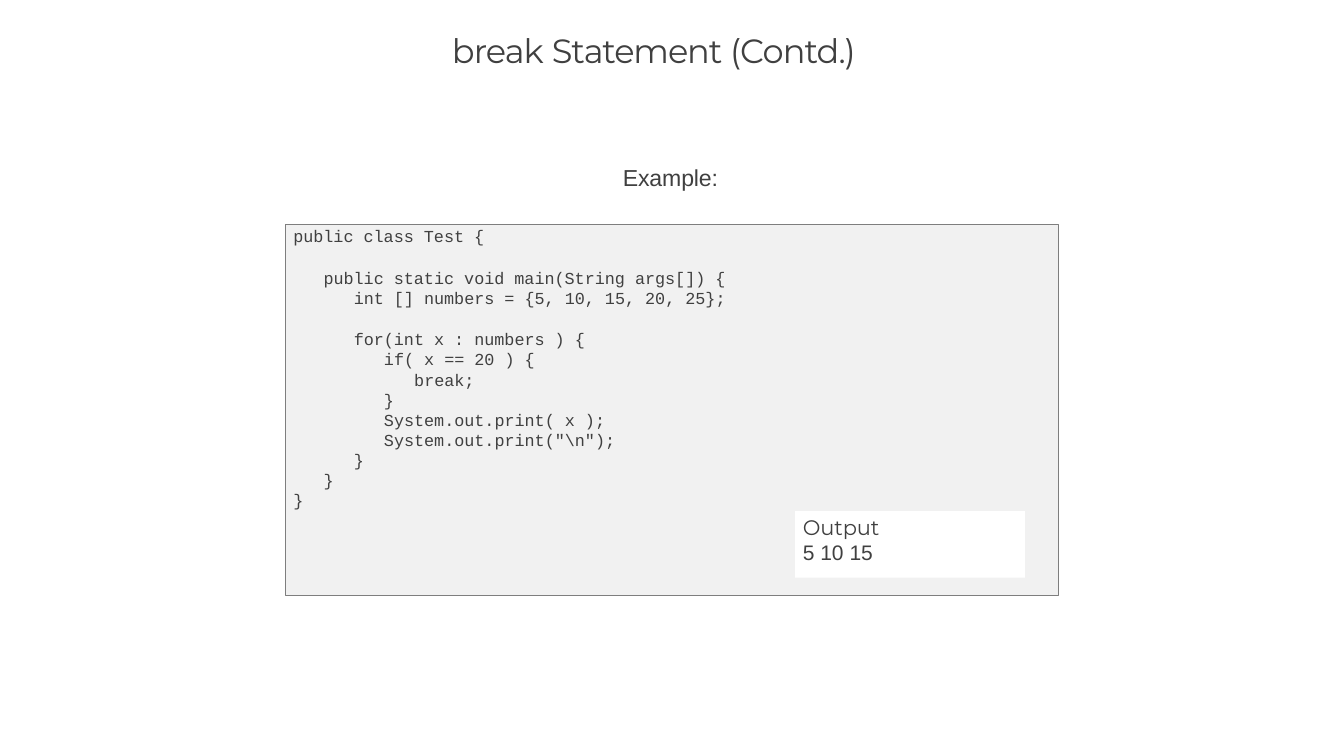
from pptx import Presentation
from pptx.dml.color import RGBColor
from pptx.enum.shapes import MSO_SHAPE
from pptx.enum.text import MSO_ANCHOR, PP_ALIGN
from pptx.util import Inches, Pt

RECT = MSO_SHAPE.RECTANGLE
TOP, LEFT = MSO_ANCHOR.TOP, PP_ALIGN.LEFT
INK, PANEL, EDGE, WHITE = "404040", "F1F1F1", "7E7E7E", "FFFFFF"
CODE_PITCH = 19.2  # points from one code line to the next
PAD, INDENT = 0.1, 0.4  # inches

TITLE = [("break ", -0.9), ("Statement ", -1.1), ("(Contd.)", -0.9)]
EXAMPLE = [("Example:", -0.1)]
OUTPUT = [("Montserrat", [("Output", -0.1)]),
          ("Arial", [("5 10 ", 0), ("15", -0.2)])]
# indent level, blank lines before, code
CODE = [
    (0, 0, "public class Test {"),
    (1, 1, "public static void main(String args[]) {"),
    (2, 0, "int [] numbers = {5, 10, 15, 20, 25};"),
    (2, 1, "for(int x : numbers ) {"),
    (3, 0, "if( x == 20 ) {"),
    (4, 0, "break;"),
    (3, 0, "}"),
    (3, 0, "System.out.print( x );"),
    (3, 0, 'System.out.print("\\n");'),
    (2, 0, "}"),
    (1, 0, "}"),
    (0, 0, "}"),
]


def rgb(value):
    return RGBColor.from_string(value)


def prepare(shape, top):
    """Set wrapping, anchor and insets; return the text frame."""
    tf = shape.text_frame
    tf.word_wrap = True
    tf.vertical_anchor = TOP
    tf.margin_left = tf.margin_right = tf.margin_bottom = 0
    tf.margin_top = Inches(top)
    return tf


def add_text(slide, box):
    return prepare(slide.shapes.add_textbox(*map(Inches, box)), 0.01)


def add_panel(slide, box, fill, top, line=None):
    s = slide.shapes.add_shape(RECT, *map(Inches, box))
    s.shadow.inherit = False
    s.fill.solid()
    s.fill.fore_color.rgb = rgb(fill)
    if line:
        s.line.color.rgb = rgb(line)
        s.line.width = Pt(0.72)
    else:
        s.line.fill.background()
    return prepare(s, top)


def write(tf, i, runs, font, size, indent=0, before=0, pitch=None):
    """Fill paragraph i with (text, letter spacing in points) runs."""
    p = tf.paragraphs[0] if i == 0 else tf.add_paragraph()
    p.alignment = LEFT
    p.space_before = Pt(before)
    if pitch:
        p.line_spacing = Pt(pitch)
    p_pr = p._p.get_or_add_pPr()
    p_pr.set("marL", str(Inches(indent)))
    p_pr.set("indent", "0")
    for text, spacing in runs:
        r = p.add_run()
        r.text = text
        r.font.name = font
        r.font.size = Pt(size)
        r.font.color.rgb = rgb(INK)
        r.font._element.set("spc", str(round(spacing * 100)))


def main():
    prs = Presentation()
    prs.slide_width, prs.slide_height = Inches(17.78), Inches(10)
    slide = prs.slides.add_slide(prs.slide_layouts[6])

    write(add_text(slide, (5.61, 0.38, 6.56, 0.65)), 0, TITLE,
          "Montserrat", 32, 0.37, 1.1)
    write(add_text(slide, (8.23, 2.15, 1.33, 0.39)), 0, EXAMPLE,
          "Arial", 22, 0.01, 0.9)

    tf = add_panel(slide, (3.78, 2.97, 10.22, 4.9), PANEL, 0.02, EDGE)
    for i, (level, blanks, code) in enumerate(CODE):
        before = blanks * (CODE_PITCH + 1) if i else 1
        write(tf, i, [(code, 0)], "Courier New", 16,
              PAD + level * INDENT, before, CODE_PITCH)

    tf = add_panel(slide, (10.52, 6.76, 3.04, 0.88), WHITE, 0.04)
    for i, (font, runs) in enumerate(OUTPUT):
        write(tf, i, runs, font, 20, PAD, 0 if i else 2.5)

    prs.save("out.pptx")


if __name__ == "__main__":
    main()
